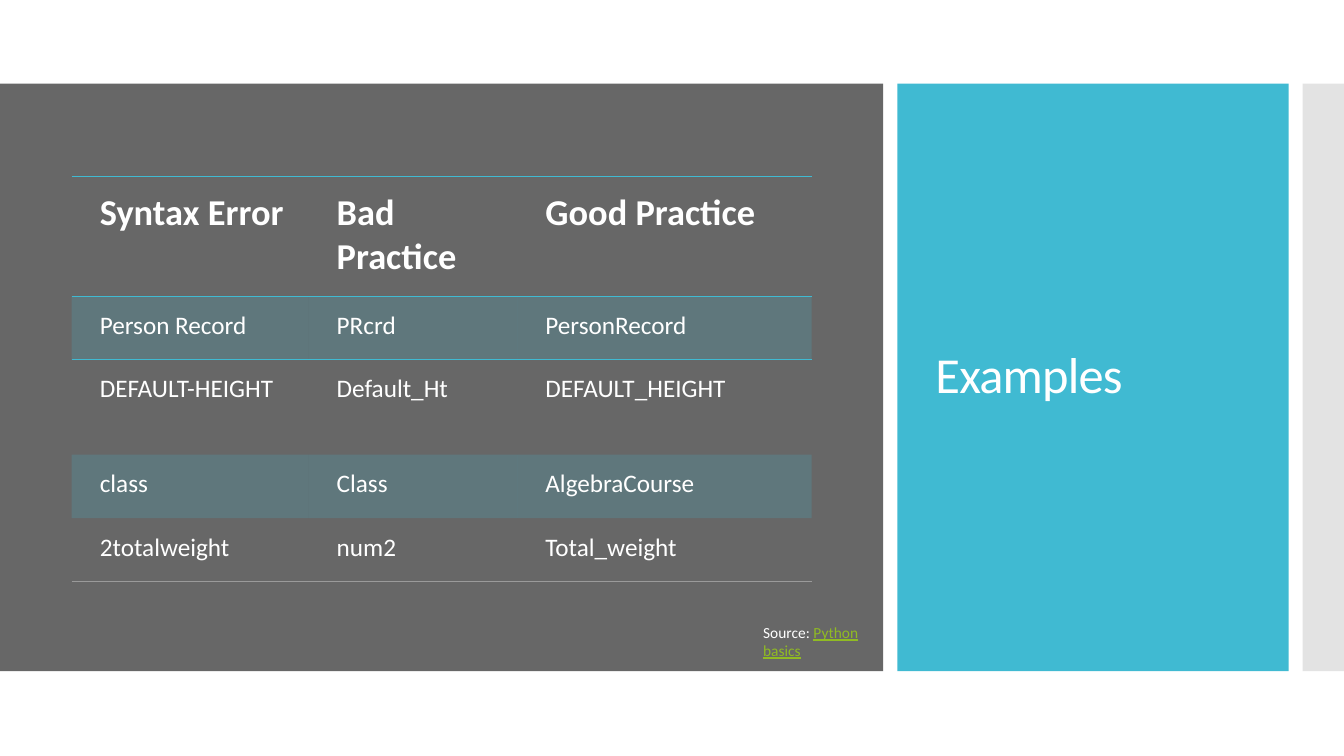
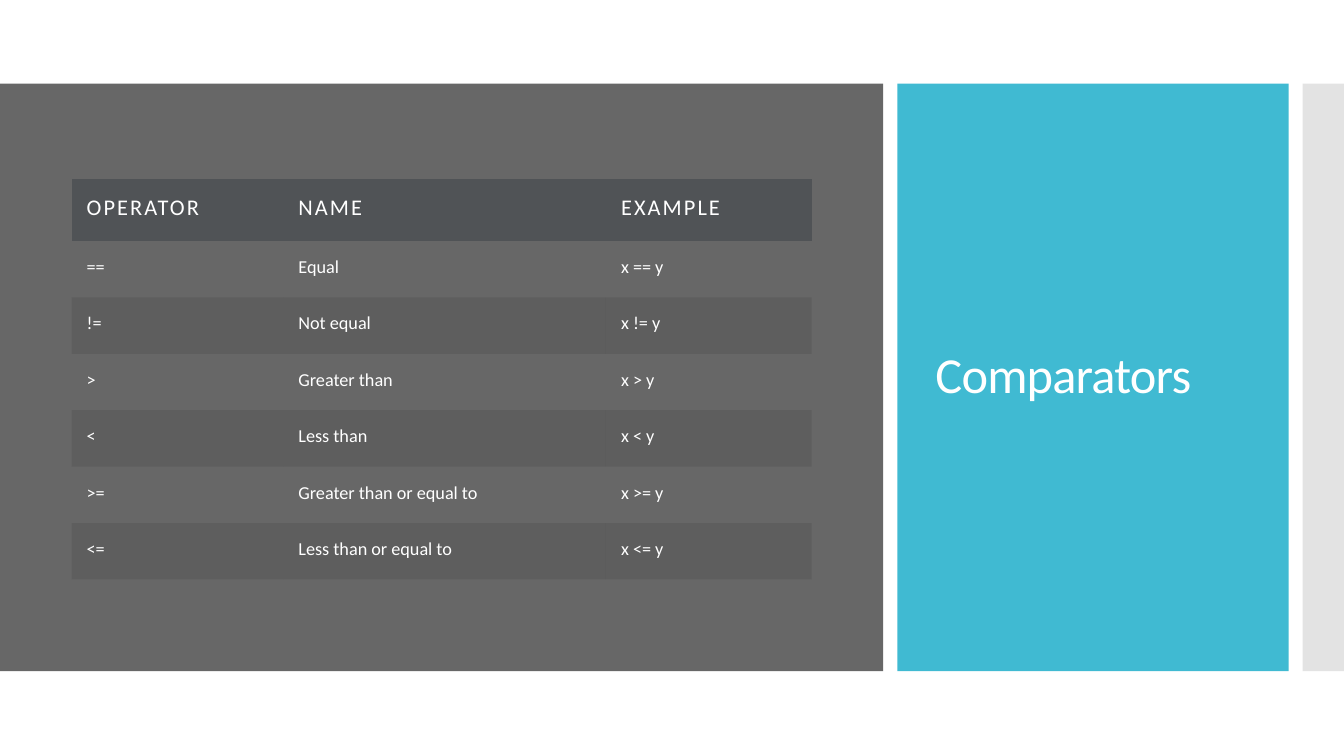
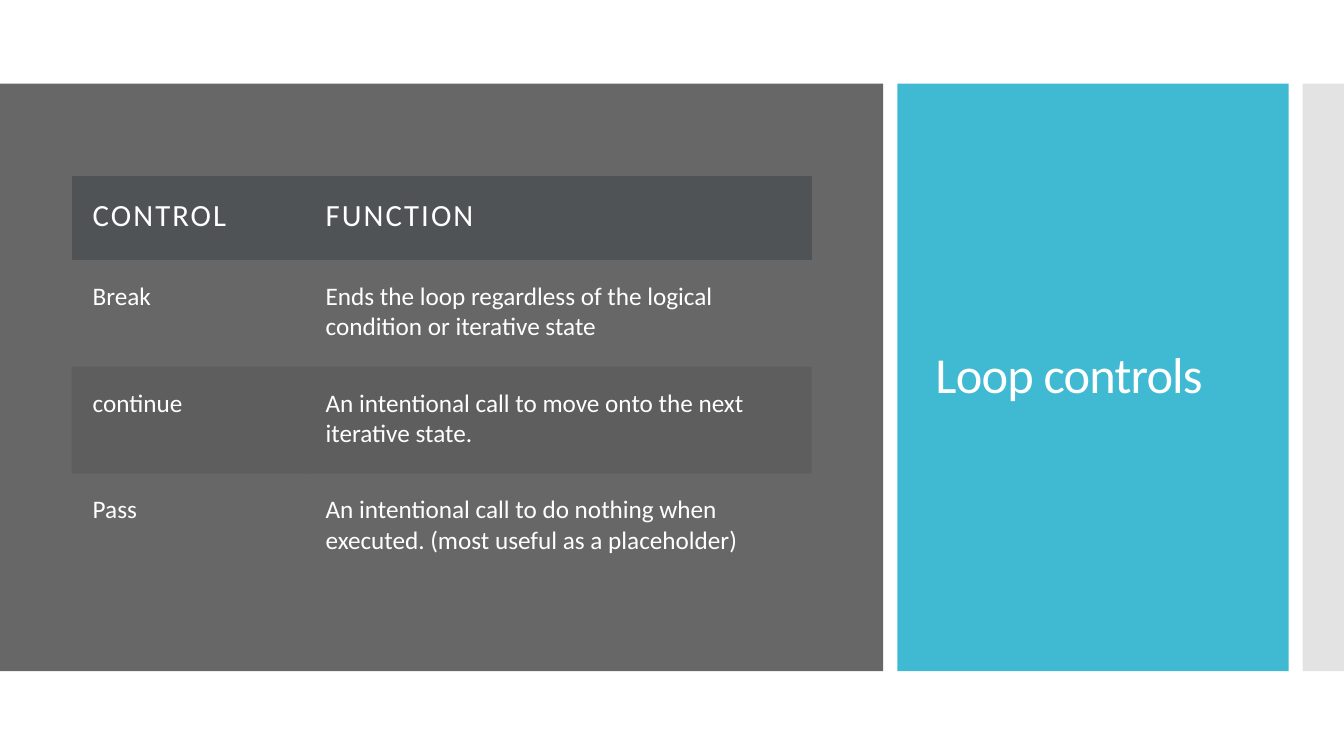
import pptx
import pptx.dml.color
import pptx.enum.shapes
import pptx.enum.text
import pptx.oxml.ns
import pptx.util
import lxml.etree
from collections import namedtuple

Inches = pptx.util.Inches
qn = pptx.oxml.ns.qn
Box = namedtuple("Box", "left top width height")
TableStyle = namedtuple("TableStyle", "insets head_size body_size head_bold head_spacing head_fill band rules")

COLORS = {
    "page": "FFFFFF",
    "panel": "676767",
    "accent": "40BAD2",
    "strip": "C8C8C8",
    "header": "505356",
    "shade": "000000",
    "text": "FFFFFF",
    "link": "90BB23",
    "rule": "9A9A9A",
}
FONT = "Calibri"
NO_GRID = "{2D5ABB26-0587-4C30-8999-92F81FD0307C}"
BAND_TOP, BAND_HEIGHT = 0.83, 5.83
PANEL = Box(0, BAND_TOP, 8.76, BAND_HEIGHT)
TITLE = Box(8.9, BAND_TOP, 3.88, BAND_HEIGHT)
STRIP = Box(12.92, BAND_TOP, 0.42, BAND_HEIGHT)
TABLE_INDENT = 0.71

EXAMPLES = [
    ["Syntax Error", "Bad Practice", "Good Practice"],
    ["Person Record", "PRcrd", "PersonRecord"],
    ["DEFAULT-HEIGHT", "Default_Ht", "DEFAULT_HEIGHT"],
    ["class", "Class", "AlgebraCourse"],
    ["2totalweight", "num2", "Total_weight"],
]
COMPARATORS = [["OPERATOR", "NAME", "EXAMPLE"]] + [
    [operator, name, f"x {operator} y"]
    for operator, name in [
        ("==", "Equal"),
        ("!=", "Not equal"),
        (">", "Greater than"),
        ("<", "Less than"),
        (">=", "Greater than or equal to"),
        ("<=", "Less than or equal to"),
    ]
]
CONTROLS = [
    ["CONTROL", "FUNCTION"],
    ["Break", "Ends the loop regardless of the logical condition or iterative state"],
    ["continue", "An intentional call to move onto the next iterative state."],
    ["Pass", "An intentional call to do nothing when executed. (most useful as a placeholder)"],
]

LINED = TableStyle((0.28, 0.14, 0.21, 0.14), 26, 18, True, 0, None, ("accent", 20, 1), True)
COMPACT = TableStyle((0.15,) * 4, 16, 13, False, 1.5, "header", ("shade", 8, 0), False)
ROOMY = COMPACT._replace(insets=(0.21,) * 4, head_size=22, body_size=18)


def color(name):
    return pptx.dml.color.RGBColor.from_string(COLORS[name])


def paint(fill, element, name, alpha=100):
    fill.solid()
    fill.fore_color.rgb = color(name)
    if alpha < 100:
        node = element.find(qn("a:solidFill")).find(qn("a:srgbClr"))
        lxml.etree.SubElement(node, qn("a:alpha")).set("val", str(alpha * 1000))


def style_text(para, size, bold=False, spacing=0):
    para.font.name = FONT
    para.font.size = pptx.util.Pt(size)
    para.font.bold = bold
    para.font.color.rgb = color("text")
    if spacing:
        for span in para.runs:
            span._r.get_or_add_rPr().set("spc", str(round(spacing * 100)))


def add_block(page, box, name, alpha=100):
    block = page.shapes.add_shape(pptx.enum.shapes.MSO_SHAPE.RECTANGLE, *map(Inches, box))
    block.shadow.inherit = False
    block.line.fill.background()
    paint(block.fill, block._element.spPr, name, alpha)


def add_text_frame(page, box):
    frame = page.shapes.add_textbox(*map(Inches, box)).text_frame
    frame.word_wrap = True
    return frame


def add_title(page, box, title):
    add_block(page, box, "accent")
    inner = Box(box.left + 0.28, box.top + 0.4, box.width - 0.66, box.height - 0.8)
    frame = add_text_frame(page, inner)
    frame.vertical_anchor = pptx.enum.text.MSO_ANCHOR.MIDDLE
    para = frame.paragraphs[0]
    para.text = title
    para.line_spacing = 0.9
    style_text(para, 36, spacing=-0.6)


def add_border(cell, side, name, width):
    line = lxml.etree.SubElement(cell._tc.get_or_add_tcPr(), qn(f"a:ln{side}"))
    line.set("w", str(int(pptx.util.Pt(width))))
    fill = lxml.etree.SubElement(line, qn("a:solidFill"))
    lxml.etree.SubElement(fill, qn("a:srgbClr")).set("val", COLORS[name])


def style_cell(cell, row, last_row, style):
    head = row == 0
    cell.margin_left, cell.margin_top, cell.margin_right, cell.margin_bottom = map(Inches, style.insets)
    if style.rules and head:
        add_border(cell, "T", "accent", 1)
        add_border(cell, "B", "accent", 1)
    elif style.rules and row == 1:
        add_border(cell, "T", "accent", 1)
    elif style.rules and row == last_row:
        add_border(cell, "B", "rule", 0.5)
    band, alpha, parity = style.band
    if head and style.head_fill:
        paint(cell.fill, cell._tc.tcPr, style.head_fill)
    elif not head and row % 2 == parity:
        paint(cell.fill, cell._tc.tcPr, band, alpha)
    else:
        cell.fill.background()
    para = cell.text_frame.paragraphs[0]
    if head:
        style_text(para, style.head_size, style.head_bold, style.head_spacing)
    else:
        style_text(para, style.body_size)


def add_panel_table(page, panel, offset, rows, widths, heights, style):
    box = Box(panel.left + TABLE_INDENT, panel.top + offset, sum(widths), sum(heights))
    frame = page.shapes.add_table(len(rows), len(widths), *map(Inches, box))
    table = frame.table
    table.first_row = table.horz_banding = False
    table._tbl.tblPr.find(qn("a:tableStyleId")).text = NO_GRID
    for column, width in zip(table.columns, widths):
        column.width = Inches(width)
    for index, (row, height) in enumerate(zip(rows, heights)):
        table.rows[index].height = Inches(height)
        for cell, text in zip(table.rows[index].cells, row):
            cell.text = text
            style_cell(cell, index, len(rows) - 1, style)


def add_source(page, panel):
    frame = add_text_frame(page, Box(panel.left + 7.47, panel.top + 5.3, 1.14, 0.47))
    para = frame.paragraphs[0]
    para.add_run().text = "Source: "
    span = para.add_run()
    span.text = "Python basics"
    style_text(para, 11)
    span.font.underline = True
    span.font.color.rgb = color("link")


def add_page(deck, title):
    page = deck.slides.add_slide(deck.slide_layouts[6])
    page.background.fill.solid()
    page.background.fill.fore_color.rgb = color("page")
    add_block(page, PANEL, "panel")
    add_title(page, TITLE, title)
    add_block(page, STRIP, "strip", 50)
    return page


def main():
    deck = pptx.Presentation()
    deck.slide_width, deck.slide_height = Inches(13.33), Inches(7.5)

    page = add_page(deck, "Examples")
    add_panel_table(page, PANEL, 0.92, EXAMPLES, [2.35, 2.07, 2.92], [1.19, 0.63, 0.94, 0.63, 0.63], LINED)
    add_source(page, PANEL)

    page = add_page(deck, "Comparators")
    add_panel_table(page, PANEL, 0.95, COMPARATORS, [2.1, 3.2, 2.04], [0.61] + [0.56] * 6, COMPACT)

    page = add_page(deck, "Loop controls")
    add_panel_table(page, PANEL, 0.92, CONTROLS, [2.31, 5.03], [0.83] + [1.06] * 3, ROOMY)

    deck.save("out.pptx")


if __name__ == "__main__":
    main()
